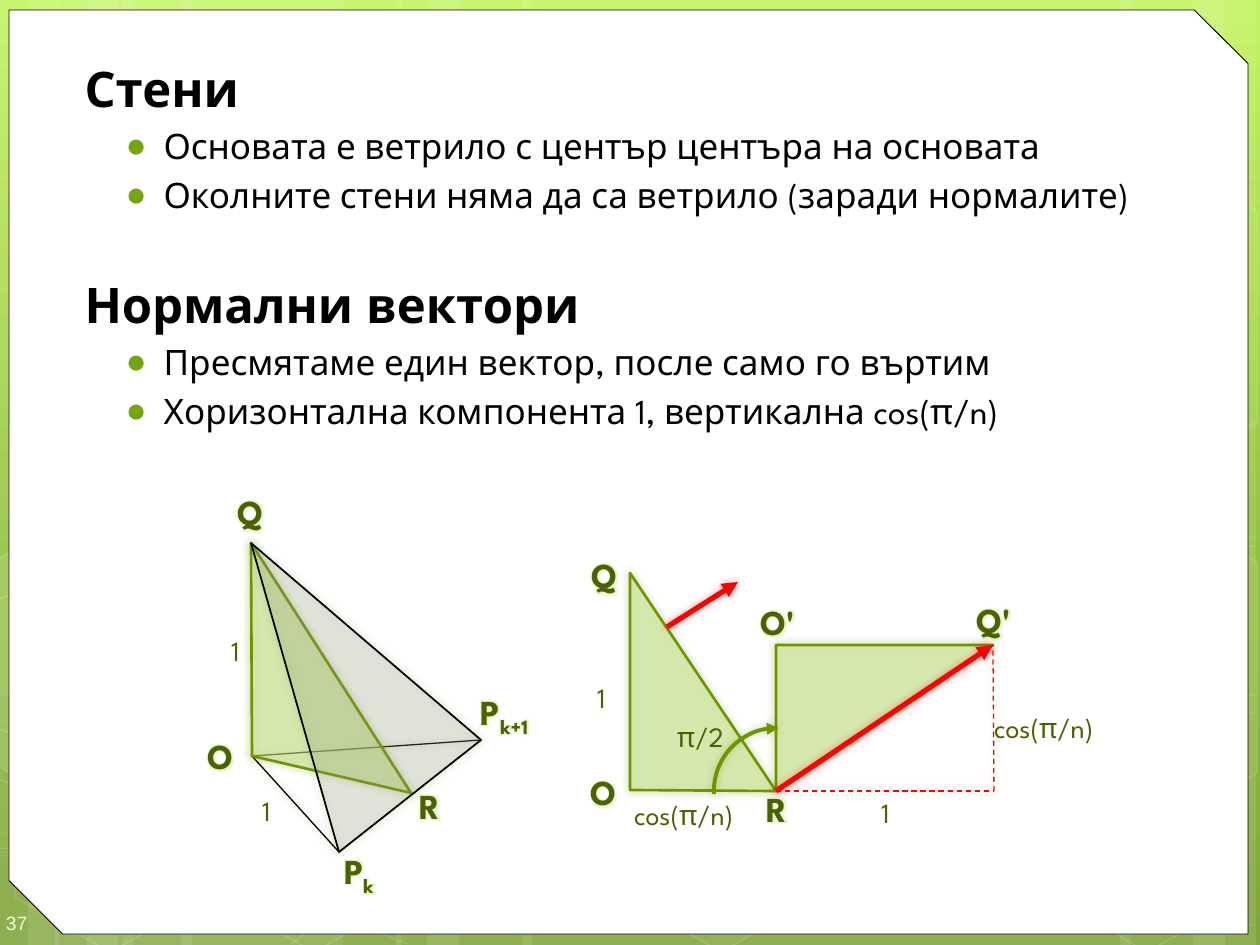
from lxml import etree
from pptx import Presentation
from pptx import util as u
from pptx.dml.color import RGBColor
from pptx.enum import dml, shapes, text
from pptx.oxml.ns import qn

SCALE = 914400 / 126  # EMU in one px
FONT = "League Spartan"
COLORS = {
    "white": "FFFFFF", "black": "000000", "red": "FF0000", "gray": "969696",
    "leaf": "C9E890", "edge": "6F9400", "label": "4A6300", "bullet": "74A510",
    "number": "EEFFD6", "top": "C3F35F", "middle": "93BF3F", "bottom": "81A53E",
}


def px(n):
    return u.Emu(round(n * SCALE))


def sub(parent, tag, **attrs):
    el = etree.SubElement(parent, qn("a:" + tag))
    for name, value in attrs.items():
        el.set(name, str(value))
    return el


class Board:
    """Holds the drawing style and the current slide."""

    def __init__(self, slide):
        self.s = slide

    def background(self, stops):
        self.s.background.fill.gradient()
        grad = next(self.s._element.iter(qn("a:gradFill")))
        for child in list(grad):
            grad.remove(child)
        gs_list = sub(grad, "gsLst")
        for pos, color in stops:
            sub(sub(gs_list, "gs", pos=pos * 1000), "srgbClr", val=COLORS[color])
        sub(grad, "lin", ang=5400000, scaled=0)

    def paint(self, fill, color, alpha=100):
        fill.solid()
        fill.fore_color.rgb = RGBColor.from_string(COLORS[color])
        if alpha < 100:
            clr = next(fill._xPr.find(qn("a:solidFill")).iter(qn("a:srgbClr")))
            sub(clr, "alpha", val=alpha * 1000)

    def outline(self, sp, color, width, alpha=100, dash=False, arrow=False):
        sp.line.width = u.Pt(width)
        self.paint(sp.line.fill, color, alpha)
        if dash:
            sp.line.dash_style = dml.MSO_LINE.DASH
        if arrow:
            sub(sp.line._get_or_add_ln(), "tailEnd", type="triangle")

    def halo(self, sp, color=None):
        effects = sub(sp._element.spPr, "effectLst")
        if color:
            shade = sub(effects, "outerShdw", blurRad=u.Pt(5), dist=0, dir=0)
            sub(sub(shade, "srgbClr", val=COLORS[color]), "alpha", val=40000)

    def finish(self, sp, fill=None, line=None, halo=None):
        if fill:
            self.paint(sp.fill, *fill)
        else:
            sp.fill.background()
        if line:
            self.outline(sp, *line)
        else:
            sp.line.fill.background()
        self.halo(sp, halo)
        return sp

    def shape(self, kind, box, adj=(), **look):
        sp = self.s.shapes.add_shape(kind, *map(px, box))
        for i, value in enumerate(adj):
            sp.adjustments[i] = value
        return self.finish(sp, **look)

    def outline_shape(self, points, closed=True, **look):
        fb = self.s.shapes.build_freeform(*points[0], scale=SCALE)
        fb.add_line_segments(points[1:], close=closed)
        return self.finish(fb.convert_to_shape(), **look)

    def line(self, start, end, color, width, halo="edge", **look):
        ends = [px(n) for n in (*start, *end)]
        sp = self.s.shapes.add_connector(shapes.MSO_CONNECTOR.STRAIGHT, *ends)
        self.outline(sp, color, width, **look)
        self.halo(sp, halo)

    def run(self, p, words, size, color, bold=False, font=FONT):
        r = p.add_run()
        r.text = words
        style = {"name": font, "size": u.Pt(size), "bold": bold}
        for name, value in style.items():
            setattr(r.font, name, value)
        r.font.color.rgb = RGBColor.from_string(COLORS[color])
        return r

    def label(self, box, words, size, color="label", bold=False, low="",
              align=text.PP_ALIGN.LEFT, font=FONT, insets=(0, 6, 0, 6)):
        tf = self.s.shapes.add_textbox(*map(px, box)).text_frame
        tf.word_wrap = True
        tf.vertical_anchor = text.MSO_ANCHOR.MIDDLE
        for side, inset in zip(("left", "top", "right", "bottom"), insets):
            setattr(tf, "margin_" + side, px(inset))
        p = tf.paragraphs[0]
        p.alignment = align
        runs = [self.run(p, words, size, color, bold, font)]
        if low:
            runs.append(self.run(p, low, size, color, bold, font))
            runs[1].font._element.set("baseline", "-25000")
        if bold:  # soft glow behind point names
            for r in runs:
                rpr = r.font._element
                effects = etree.Element(qn("a:effectLst"))
                rpr.find(qn("a:solidFill")).addnext(effects)
                glow = sub(effects, "glow", rad=u.Pt(5))
                sub(sub(glow, "srgbClr", val=COLORS["leaf"]), "alpha", val=40000)

    def body(self, box, rows):
        sp = self.s.placeholders[1]
        self.s.shapes._spTree.append(sp._element)  # in front of the panel
        sp.left, sp.top, sp.width, sp.height = map(px, box)
        tf = sp.text_frame
        tf.auto_size = text.MSO_AUTO_SIZE.NONE
        tf.vertical_anchor = text.MSO_ANCHOR.TOP
        for i, (level, before, words) in enumerate(rows):
            p = tf.paragraphs[0] if i == 0 else tf.add_paragraph()
            p.level = level
            p.space_before = u.Pt(before)
            ppr = p._p.get_or_add_pPr()
            left, indent = ((88, -38) if level else (9, 0))
            ppr.set("marL", str(px(left)))
            ppr.set("indent", str(px(indent)))
            if level:
                sub(sub(ppr, "buClr"), "srgbClr", val=COLORS["bullet"])
                sub(ppr, "buChar", char="●")
            else:
                sub(ppr, "buNone")
            self.run(p, words, 20 if level else 28, "black", bold=not level)


def main():
    prs = Presentation()
    prs.slide_width, prs.slide_height = px(1260), px(945)
    s = prs.slides.add_slide(prs.slide_layouts[1])
    s.shapes.title._element.getparent().remove(s.shapes.title._element)
    b = Board(s)
    kind = shapes.MSO_SHAPE

    # Green backdrop with pale bands, curves and hexagons
    b.background([(0, "top"), (62, "middle"), (100, "bottom")])
    for x, w in ((122, 221), (-4, 63), (28, 105), (181, 221), (55, 63), (87, 105),
                 (910, 221), (1193, 63), (1120, 105), (522, 388), (396, 63), (427, 105)):
        b.shape(kind.RECTANGLE, (x, 0, w, 945), fill=("white", 10))
    for curve in (
            [(-5, 848), (226, 854), (563, 838), (983, 777), (1255, 694)],
            [(-5, 601), (139, 543), (423, 488), (810, 488), (1255, 547)],
            [(-6, 777), (407, 944)],
            [(-5, 728), (147, 776), (435, 848), (777, 905), (1060, 927), (1255, 925)],
            [(291, 944), (474, 805), (752, 728), (987, 708), (1254, 713)]):
        b.outline_shape(curve, closed=False, line=("white", 0.5, 20))
    for x in (0, 204, 611, 1037):
        sp = b.shape(kind.HEXAGON, (x, 746, 221, 192), (0.29, 1.15),
                     fill=("white", 6) if x == 611 else None, line=("white", 1, 12))
        sp.rotation = 30
    b.outline_shape([(-4, 561), (10, 552), (107, 607), (106, 718), (11, 774), (-4, 765)],
                    fill=("white", 10), line=("white", 1, 12))
    for y, fill in ((205, None), (556, ("white", 4))):
        b.outline_shape([(1153, y + 55), (1247, y), (1257, y + 6), (1257, y + 217),
                         (1249, y + 222), (1152, y + 166)],
                        fill=fill, line=("white", 1, 12))

    # White panel and page number
    b.shape(kind.SNIP_2_DIAG_RECTANGLE, (9, 10, 1239, 924), (0, 0.058),
            fill=("white",), line=("black", 0.5))
    b.label((0, 895, 73, 50), "37", 11, "number", font="Arial", insets=(6, 19, 0, 13))

    # Text
    b.body((63, 52, 1187, 883), [
        (0, 0, "Стени"),
        (1, 4, "Основата е ветрило с център центъра на основата"),
        (1, 4, "Околните стени няма да са ветрило (заради нормалите)"),
        (0, 34, "Нормални вектори"),
        (1, 4, "Пресмятаме един вектор, после само го въртим"),
        (1, 4, "Хоризонтална компонента 1, вертикална cos(π/n)"),
    ])

    # Pyramid sector
    leaf = {"fill": ("leaf", 50), "line": ("edge", 1.5), "halo": "edge"}
    o, q, r, pk, pk1 = (252, 756), (251, 543), (411, 793), (339, 852), (481, 740)
    b.line(o, pk1, "black", 0.75)
    b.line(o, q, "edge", 0.75)
    b.line(o, pk, "black", 0.75)
    b.outline_shape([o, q, r], **leaf)
    b.outline_shape([pk, q, pk1], fill=("gray", 20), line=("black", 1), halo="edge")

    # Triangle and its turned twin
    o, q, r = (630, 790), (630, 573), (776, 791)
    o2, q2, corner = (776, 645), (993, 645), (994, 791)
    b.outline_shape([o, q, r], **leaf)
    b.outline_shape([o2, q2, r], **leaf)
    b.line(corner, q2, "red", 0.75, dash=True)
    b.line(r, corner, "red", 0.75, dash=True)
    b.shape(kind.ARC, (714, 728, 126, 126), (106.32, 162.9),
            line=("edge", 2.25, 100, False, True), halo="edge")
    for start, end in ((r, q2), ((667, 627), (738, 582))):
        b.line(start, end, "red", 3, halo="red", arrow=True)

    # Point names
    b.label((339, 856, 40, 35), "P", 20, bold=True, low="k", align=text.PP_ALIGN.CENTER)
    b.label((481, 697, 107, 35), "P", 20, bold=True, low="k+1")
    for x, y, name in ((238, 494, "Q"), (208, 738, "O"), (420, 788, "R"),
                       (592, 557, "Q"), (591, 774, "O"), (767, 791, "R"),
                       (761, 604, "O'"), (977, 602, "Q'")):
        b.label((x, y, 53, 35), name, 20, bold=True)

    # Lengths and angle
    for x, y, value in ((231, 620, "1"), (262, 780, "1"), (597, 667, "1"),
                        (881, 782, "1"), (634, 784, "cos(π/n)"),
                        (994, 697, "cos(π/n)"), (677, 706, "π/2")):
        b.label((x, y, 122, 60), value, 16)

    prs.save("out.pptx")


if __name__ == "__main__":
    main()
